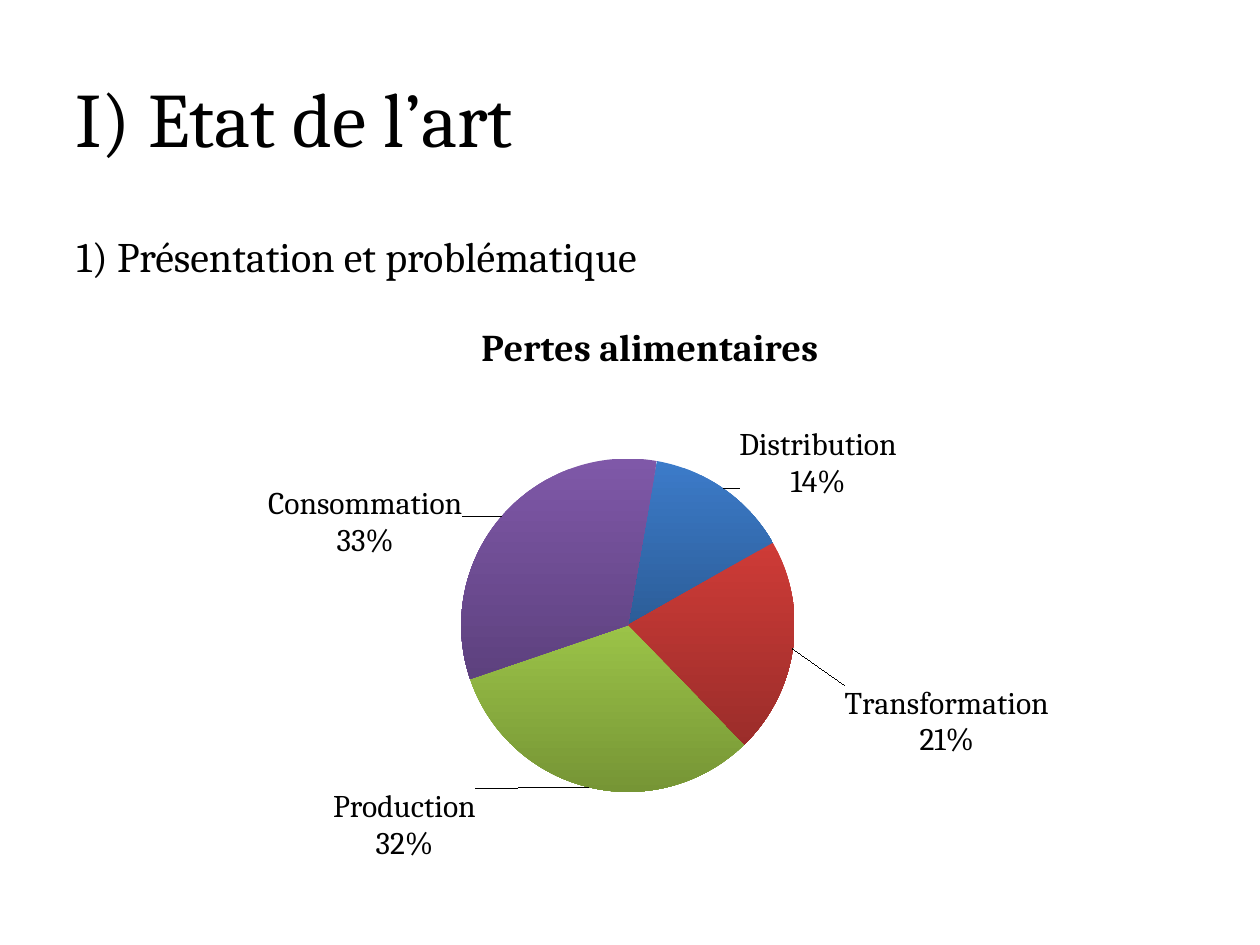
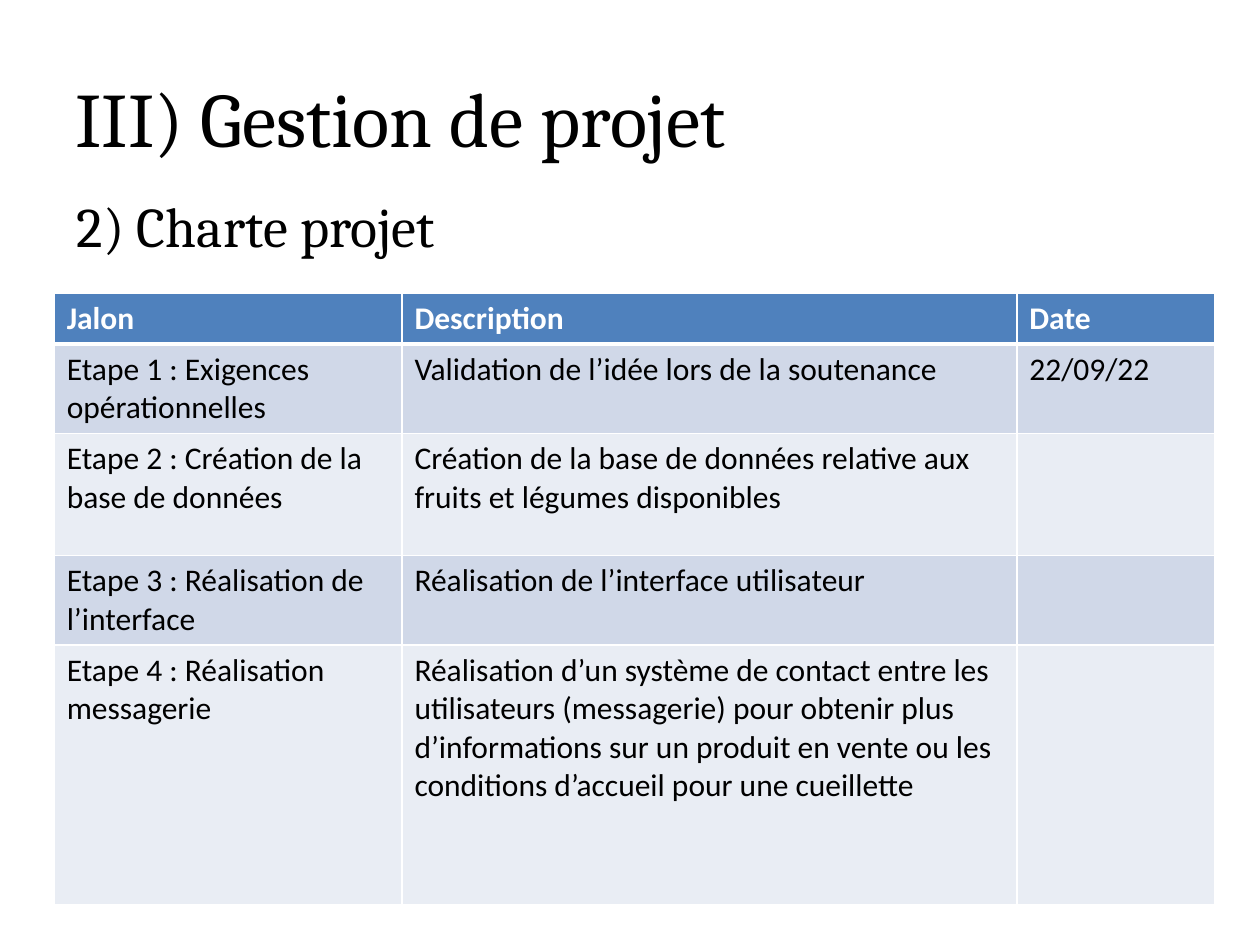
from dataclasses import dataclass, field

from lxml import etree
from pptx import Presentation
from pptx.chart.data import CategoryChartData
from pptx.dml.color import RGBColor
from pptx.enum.chart import XL_CHART_TYPE, XL_LABEL_POSITION
from pptx.enum.text import MSO_ANCHOR
from pptx.oxml import parse_xml
from pptx.oxml.ns import nsdecls, qn
from pptx.util import Inches, Pt

PIE = XL_CHART_TYPE.PIE
BEST_FIT = XL_LABEL_POSITION.BEST_FIT
TOP = MSO_ANCHOR.TOP
MIDDLE = MSO_ANCHOR.MIDDLE

SLIDE_WIDTH = Inches(10)
SLIDE_HEIGHT = Inches(7.5)
GRID_COLUMNS = 100
GRID_ROWS = 75
BLANK_LAYOUT = 6


@dataclass(frozen=True)
class Theme:
    heading_font: str = "Cambria"
    body_font: str = "Calibri"
    text: str = "000000"
    white: str = "FFFFFF"
    header: str = "4F81BD"
    bands: tuple = ("D0D8E8", "E9EDF4")
    title_size: float = 44
    section_size: float = 32
    topic_size: float = 24
    chart_title_size: float = 21.6
    body_size: float = 18
    thin_border: float = 1
    thick_border: float = 3


@dataclass(frozen=True)
class Box:
    column: float
    row: float
    columns: float
    rows: float

    def lengths(self) -> tuple:
        return (across(self.column), down(self.row),
                across(self.columns), down(self.rows))


@dataclass(frozen=True)
class TextBlock:
    text: str
    box: Box
    size: float
    anchor: int = TOP


@dataclass(frozen=True)
class Slice:
    category: str
    percent: int
    light: str
    dark: str
    label_shift: tuple


@dataclass(frozen=True)
class Milestone:
    name: str
    description: str
    date: str = ""
    rows: float = 7.1


@dataclass(frozen=True)
class PieSpec:
    title: str
    box: Box
    start_angle: int
    plot: dict
    slices: list = field(default_factory=list)


THEME = Theme()
TITLE_BOX = Box(5, 3, 90, 12.5)

LOSSES = PieSpec(
    "Pertes alimentaires", Box(7.5, 23.6, 88.2, 46.9), 10,
    {"x": 0.33, "y": 0.27, "w": 0.3, "h": 0.57},
    [
        Slice("Distribution", 14, "3C7BC9", "2C5D98", (0.01, 0.03)),
        Slice("Transformation", 21, "CE3B37", "9B2D2A", (0.04, 0.06)),
        Slice("Production", 32, "9BC348", "769535", (-0.1, -0.01)),
        Slice("Consommation", 33, "7F58A8", "5D417E", (-0.03, 0.08)),
    ],
)

TABLE_BOX = Box(4.3, 23.3, 92.1, 48.5)
TABLE_COLUMNS = (27.6, 48.8, 15.7)
MILESTONES = [
    Milestone("Jalon", "Description", "Date", 4),
    Milestone("Etape 1 : Exigences opérationnelles",
              "Validation de l’idée lors de la soutenance", "22/09/22"),
    Milestone("Etape 2 : Création de la base de données",
              "Création de la base de données relative aux fruits et légumes "
              "disponibles", rows=9.7),
    Milestone("Etape 3 : Réalisation de l’interface",
              "Réalisation de l’interface utilisateur"),
    Milestone("Etape 4 : Réalisation messagerie",
              "Réalisation d’un système de contact entre les utilisateurs "
              "(messagerie) pour obtenir plus d’informations sur un produit en "
              "vente ou les conditions d’accueil pour une cueillette", rows=20.6),
]


def across(columns: float) -> int:
    return round(SLIDE_WIDTH * columns / GRID_COLUMNS)


def down(rows: float) -> int:
    return round(SLIDE_HEIGHT * rows / GRID_ROWS)


def apply(target, values: dict) -> None:
    for name, value in values.items():
        setattr(target, name, value)


def format_font(font, name: str, size: float, color: str = THEME.text,
                bold: bool = False) -> None:
    apply(font, {"name": name, "size": Pt(size), "bold": bold})
    font.color.rgb = RGBColor.from_string(color)


def add_text(slide, block: TextBlock) -> None:
    frame = slide.shapes.add_textbox(*block.box.lengths()).text_frame
    apply(frame, {"word_wrap": True, "vertical_anchor": block.anchor})
    run = frame.paragraphs[0].add_run()
    run.text = block.text
    format_font(run.font, THEME.heading_font, block.size)


def manual_layout(values: dict, inner: bool = False) -> str:
    target = '<c:layoutTarget val="inner"/>' if inner else ""
    modes = '<c:xMode val="edge"/><c:yMode val="edge"/>' if inner else ""
    parts = "".join(f'<c:{name} val="{value}"/>' for name, value in values.items())
    return (f'<c:layout {nsdecls("c")}><c:manualLayout>{target}{modes}{parts}'
            "</c:manualLayout></c:layout>")


def format_labels(labels) -> None:
    apply(labels, {"show_percentage": True, "show_category_name": True,
                   "show_value": False, "position": BEST_FIT})
    format_font(labels.font, THEME.heading_font, THEME.body_size)


def shifted_label(index: int, shift: tuple):
    flags = {"LegendKey": 0, "Val": 0, "CatName": 1, "SerName": 0,
             "Percent": 1, "BubbleSize": 0}
    shows = "".join(f'<c:show{name} val="{value}"/>' for name, value in flags.items())
    label = parse_xml(
        f'<c:dLbl {nsdecls("c", "a")}><c:idx val="{index}"/>'
        f'{manual_layout(dict(zip("xy", shift)))}'
        "<c:spPr><a:noFill/><a:ln><a:noFill/></a:ln></c:spPr>"
        f'<c:txPr><a:bodyPr/><a:p><a:pPr><a:defRPr sz="{THEME.body_size * 100}" b="0">'
        f'<a:solidFill><a:srgbClr val="{THEME.text}"/></a:solidFill>'
        f'<a:latin typeface="{THEME.heading_font}"/></a:defRPr></a:pPr></a:p></c:txPr>'
        f'<c:dLblPos val="bestFit"/>{shows}</c:dLbl>')
    etree.SubElement(label, qn("c:separator")).text = "\n"
    return label


def add_pie(slide, spec: PieSpec) -> None:
    data = CategoryChartData()
    data.categories = [part.category for part in spec.slices]
    data.add_series(spec.title, [part.percent for part in spec.slices])
    chart = slide.shapes.add_chart(PIE, *spec.box.lengths(), data).chart
    apply(chart, {"has_legend": False, "has_title": True})
    format_font(chart.font, THEME.body_font, THEME.body_size)
    chart.chart_title.include_in_layout = False
    run = chart.chart_title.text_frame.paragraphs[0].add_run()
    run.text = spec.title
    format_font(run.font, THEME.heading_font, THEME.chart_title_size, bold=True)

    plot = chart.plots[0]
    plot.vary_by_categories = True
    series = plot.series[0]
    format_labels(series.data_labels)
    label_list = series._element.find(qn("c:dLbls"))
    for index, part in enumerate(spec.slices):
        fill = series.points[index].format.fill
        fill.gradient()
        fill.gradient_angle = 270
        for stop, color in zip(fill.gradient_stops, (part.light, part.dark)):
            stop.color.rgb = RGBColor.from_string(color)
        label_list.insert(index, shifted_label(index, part.label_shift))

    pie = series._element.getparent()
    for angle in pie.findall(qn("c:firstSliceAng")):
        pie.remove(angle)
    etree.SubElement(pie, qn("c:firstSliceAng")).set("val", str(spec.start_angle))
    area = pie.getparent()
    for layout in area.findall(qn("c:layout")):
        area.remove(layout)
    area.insert(0, parse_xml(manual_layout(spec.plot, inner=True)))


def add_borders(cell, bottom: float, top: float) -> None:
    properties = cell._tc.get_or_add_tcPr()
    widths = {"lnL": THEME.thin_border, "lnR": THEME.thin_border,
              "lnT": top, "lnB": bottom}
    for index, (side, width) in enumerate(widths.items()):
        properties.insert(index, parse_xml(
            f'<a:{side} {nsdecls("a")} w="{Pt(width)}"><a:solidFill>'
            f'<a:srgbClr val="{THEME.white}"/></a:solidFill></a:{side}>'))


def add_milestones(slide, milestones: list) -> None:
    table = slide.shapes.add_table(
        len(milestones), len(TABLE_COLUMNS), *TABLE_BOX.lengths()).table
    for column, width in zip(table.columns, TABLE_COLUMNS):
        column.width = across(width)
    for index, milestone in enumerate(milestones):
        table.rows[index].height = down(milestone.rows)
        header = index == 0
        fill = THEME.header if header else THEME.bands[(index - 1) % 2]
        color = THEME.white if header else THEME.text
        bottom = THEME.thick_border if header else THEME.thin_border
        top = THEME.thick_border if index == 1 else THEME.thin_border
        texts = (milestone.name, milestone.description, milestone.date)
        for cell, text in zip(table.rows[index].cells, texts):
            cell.fill.solid()
            cell.fill.fore_color.rgb = RGBColor.from_string(fill)
            add_borders(cell, bottom, top)
            paragraph = cell.text_frame.paragraphs[0]
            format_font(paragraph.font, THEME.body_font, THEME.body_size, color, header)
            if text:
                run = paragraph.add_run()
                run.text = text
                format_font(run.font, THEME.body_font, THEME.body_size, color, header)


def add_slide(presentation, title: str, subtitle: TextBlock):
    slide = presentation.slides.add_slide(presentation.slide_layouts[BLANK_LAYOUT])
    add_text(slide, TextBlock(title, TITLE_BOX, THEME.title_size, MIDDLE))
    add_text(slide, subtitle)
    return slide


def main() -> None:
    presentation = Presentation()
    apply(presentation, {"slide_width": SLIDE_WIDTH, "slide_height": SLIDE_HEIGHT})
    art = add_slide(presentation, "I) Etat de l’art", TextBlock(
        "1) Présentation et problématique", Box(5.1, 17.8, 94.9, 5),
        THEME.topic_size))
    add_pie(art, LOSSES)
    project = add_slide(presentation, "III) Gestion de projet", TextBlock(
        "2) Charte projet", Box(5.1, 14.7, 90, 49.5), THEME.section_size))
    add_milestones(project, MILESTONES)
    presentation.save("out.pptx")


main()
